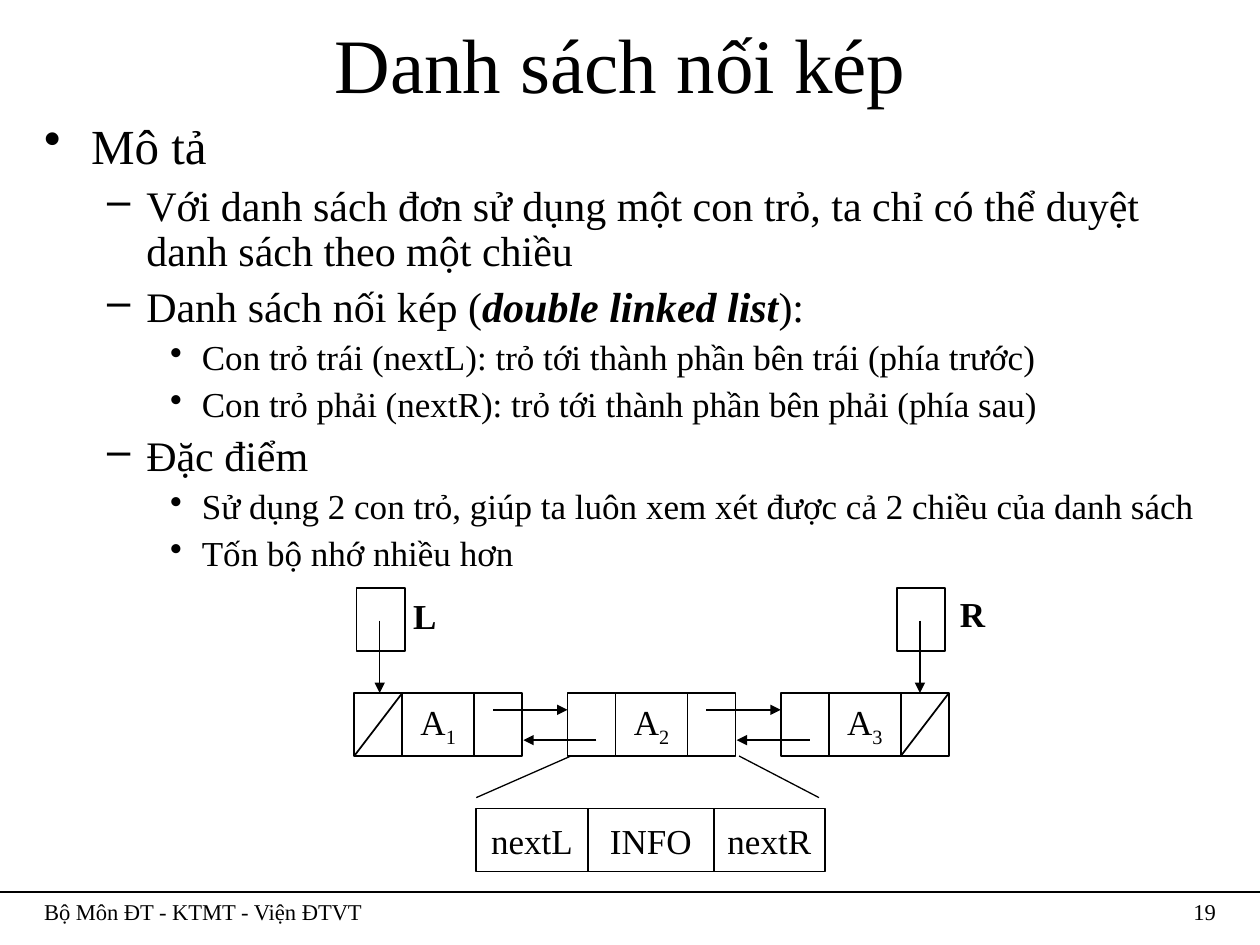
from dataclasses import dataclass

from lxml import etree
from pptx import Presentation
from pptx.dml.color import RGBColor
from pptx.enum.shapes import MSO_CONNECTOR, MSO_SHAPE
from pptx.enum.text import MSO_ANCHOR, PP_ALIGN
from pptx.oxml.ns import qn
from pptx.util import Cm, Pt

RECT = MSO_SHAPE.RECTANGLE
STRAIGHT = MSO_CONNECTOR.STRAIGHT
TOP, MIDDLE = MSO_ANCHOR.TOP, MSO_ANCHOR.MIDDLE
LEFT, CENTER, RIGHT = PP_ALIGN.LEFT, PP_ALIGN.CENTER, PP_ALIGN.RIGHT


@dataclass(frozen=True)
class Theme:
    font: str = "Times New Roman"
    ink: RGBColor = RGBColor(0, 0, 0)
    title: float = 44
    label: float = 20
    footer: float = 12.9
    thin: float = 0.75
    outline: float = 1
    arrow: float = 1.5
    # bullet, size, space before, left margin, hanging indent
    levels: tuple = (
        ("•", 28, 7, 0.95, 0.95),
        ("–", 24, 6, 2.06, 0.79),
        ("•", 20, 5, 3.18, 0.64),
    )


class SlideBuilder:
    def __init__(self, slide, theme):
        self.slide = slide
        self.theme = theme

    def style_runs(self, paragraph, size, bold=None):
        for run in paragraph.runs:
            run.font.name = self.theme.font
            run.font.size = Pt(size)
            run.font.color.rgb = self.theme.ink
            if bold:
                run.font.bold = True

    def text(self, content, left, top, width, height, size,
             align=LEFT, anchor=TOP, bold=None, wrap=True):
        box = self.slide.shapes.add_textbox(Cm(left), Cm(top), Cm(width), Cm(height))
        frame = box.text_frame
        frame.word_wrap = wrap
        frame.vertical_anchor = anchor
        frame.text = content
        frame.paragraphs[0].alignment = align
        self.style_runs(frame.paragraphs[0], size, bold)

    def outline(self, entries, left, top, width, height):
        box = self.slide.shapes.add_textbox(Cm(left), Cm(top), Cm(width), Cm(height))
        frame = box.text_frame
        frame.word_wrap = True
        for index, (level, content) in enumerate(entries):
            bullet, size, before, margin, hanging = self.theme.levels[level]
            paragraph = frame.paragraphs[0] if index == 0 else frame.add_paragraph()
            paragraph.level = level
            paragraph.line_spacing = 0.9
            paragraph.space_before = Pt(before)
            properties = paragraph._p.get_or_add_pPr()
            properties.set("marL", str(Cm(margin)))
            properties.set("indent", str(-Cm(hanging)))
            etree.SubElement(properties, qn("a:buChar")).set("char", bullet)
            for part_index, part in enumerate(content.split("*")):
                run = paragraph.add_run()
                run.text = part
                if part_index % 2:
                    run.font.bold = run.font.italic = True
            self.style_runs(paragraph, size)

    def cell(self, left, top, width, height, label="", subscript=""):
        box = self.slide.shapes.add_shape(RECT, Cm(left), Cm(top), Cm(width), Cm(height))
        box.shadow.inherit = False
        box.fill.background()
        box.line.color.rgb = self.theme.ink
        box.line.width = Pt(self.theme.outline)
        if not label:
            return
        frame = box.text_frame
        frame.word_wrap = False
        frame.vertical_anchor = MIDDLE
        frame.text = label
        paragraph = frame.paragraphs[0]
        paragraph.alignment = CENTER
        if subscript:
            index_run = paragraph.add_run()
            index_run.text = subscript
            index_run._r.get_or_add_rPr().set("baseline", "-25000")
        self.style_runs(paragraph, self.theme.label)

    def line(self, x1, y1, x2, y2, weight, arrow=False):
        connector = self.slide.shapes.add_connector(STRAIGHT, Cm(x1), Cm(y1), Cm(x2), Cm(y2))
        connector.line.color.rgb = self.theme.ink
        connector.line.width = Pt(weight)
        if arrow:
            etree.SubElement(connector.line._get_or_add_ln(), qn("a:tailEnd")).set("type", "triangle")
        etree.SubElement(connector._element.spPr, qn("a:effectLst"))


OUTLINE = [
    (0, "Mô tả"),
    (1, "Với danh sách đơn sử dụng một con trỏ, ta chỉ có thể duyệt danh sách theo một chiều"),
    (1, "Danh sách nối kép (*double linked list*):"),
    (2, "Con trỏ trái (nextL): trỏ tới thành phần bên trái (phía trước)"),
    (2, "Con trỏ phải (nextR): trỏ tới thành phần bên phải (phía sau)"),
    (1, "Đặc điểm"),
    (2, "Sử dụng 2 con trỏ, giúp ta luôn xem xét được cả 2 chiều của danh sách"),
    (2, "Tốn bộ nhớ nhiều hơn"),
]
SLIDE_WIDTH, SLIDE_HEIGHT = 25.4, 19.05
MARGIN = 0.64
FOOTER_TOP = 17.98
NODE_LEFT, NODE_TOP, NODE_PITCH, NODE_COUNT = 7.14, 13.97, 4.3, 3
LINK_WIDTH, INFO_WIDTH, CELL_HEIGHT = 0.97, 1.45, 1.27
NODE_WIDTH = 2 * LINK_WIDTH + INFO_WIDTH
NODE_BOTTOM = NODE_TOP + CELL_HEIGHT
POINTER_TOP = 11.86
DETAIL_LEFT, DETAIL_TOP = 9.6, 16.3
DETAIL_CELLS = [("nextL", 2.25), ("INFO", 2.54), ("nextR", 2.24)]


def draw_list(builder):
    theme = builder.theme
    for index in range(NODE_COUNT):
        left = NODE_LEFT + index * NODE_PITCH
        info_left = left + LINK_WIDTH
        right_link = info_left + INFO_WIDTH
        builder.cell(left, NODE_TOP, LINK_WIDTH, CELL_HEIGHT)
        builder.cell(info_left, NODE_TOP, INFO_WIDTH, CELL_HEIGHT, "A", str(index + 1))
        builder.cell(right_link, NODE_TOP, LINK_WIDTH, CELL_HEIGHT)
        if index in (0, NODE_COUNT - 1):
            null_left = left if index == 0 else right_link
            builder.line(null_left, NODE_BOTTOM, null_left + LINK_WIDTH, NODE_TOP, theme.outline)
        if index < NODE_COUNT - 1:
            next_left = left + NODE_PITCH
            builder.line(right_link + 0.38, NODE_TOP + 0.34, next_left, NODE_TOP + 0.34,
                         theme.arrow, arrow=True)
            builder.line(next_left + 0.58, NODE_TOP + 0.95, left + NODE_WIDTH + 0.02,
                         NODE_TOP + 0.95, theme.arrow, arrow=True)


def draw_pointers(builder):
    theme = builder.theme
    for name, left, label_left, label_top in (("L", 7.19, 8.08, 11.86), ("R", 18.08, 19.1, 11.81)):
        builder.cell(left, POINTER_TOP, LINK_WIDTH, CELL_HEIGHT)
        builder.text(name, label_left, label_top, 1, 1.12, theme.label, bold=True, wrap=False)
        stem = left + LINK_WIDTH / 2 - 0.02
        builder.line(stem, POINTER_TOP + 0.65, stem, NODE_TOP, theme.thin, arrow=True)


def draw_detail(builder):
    theme = builder.theme
    left = DETAIL_LEFT
    for label, width in DETAIL_CELLS:
        builder.cell(left, DETAIL_TOP, width, CELL_HEIGHT, label)
        left += width
    zoomed = NODE_LEFT + NODE_PITCH
    builder.line(zoomed + 0.07, NODE_BOTTOM, DETAIL_LEFT, 16.08, theme.thin)
    builder.line(zoomed + NODE_WIDTH + 0.07, NODE_BOTTOM, 16.51, 16.08, theme.thin)


def main():
    presentation = Presentation()
    presentation.slide_width, presentation.slide_height = Cm(SLIDE_WIDTH), Cm(SLIDE_HEIGHT)
    theme = Theme()
    builder = SlideBuilder(presentation.slides.add_slide(presentation.slide_layouts[6]), theme)
    content_width = SLIDE_WIDTH - 2 * MARGIN

    builder.line(0, FOOTER_TOP, SLIDE_WIDTH, FOOTER_TOP, theme.thin)
    builder.text("19", 22.65, FOOTER_TOP, 2.11, 0.84, theme.footer, align=RIGHT)
    builder.outline(OUTLINE, MARGIN, 2.33, content_width, 9.74)
    builder.text("Danh sách nối kép ", MARGIN, 0.21, content_width, 2.12, theme.title,
                 align=CENTER, anchor=MIDDLE)
    draw_list(builder)
    draw_pointers(builder)
    draw_detail(builder)
    builder.text("Bộ Môn ĐT - KTMT - Viện ĐTVT", MARGIN, FOOTER_TOP, 21.59, 0.84, theme.footer)
    presentation.save("out.pptx")


if __name__ == "__main__":
    main()
